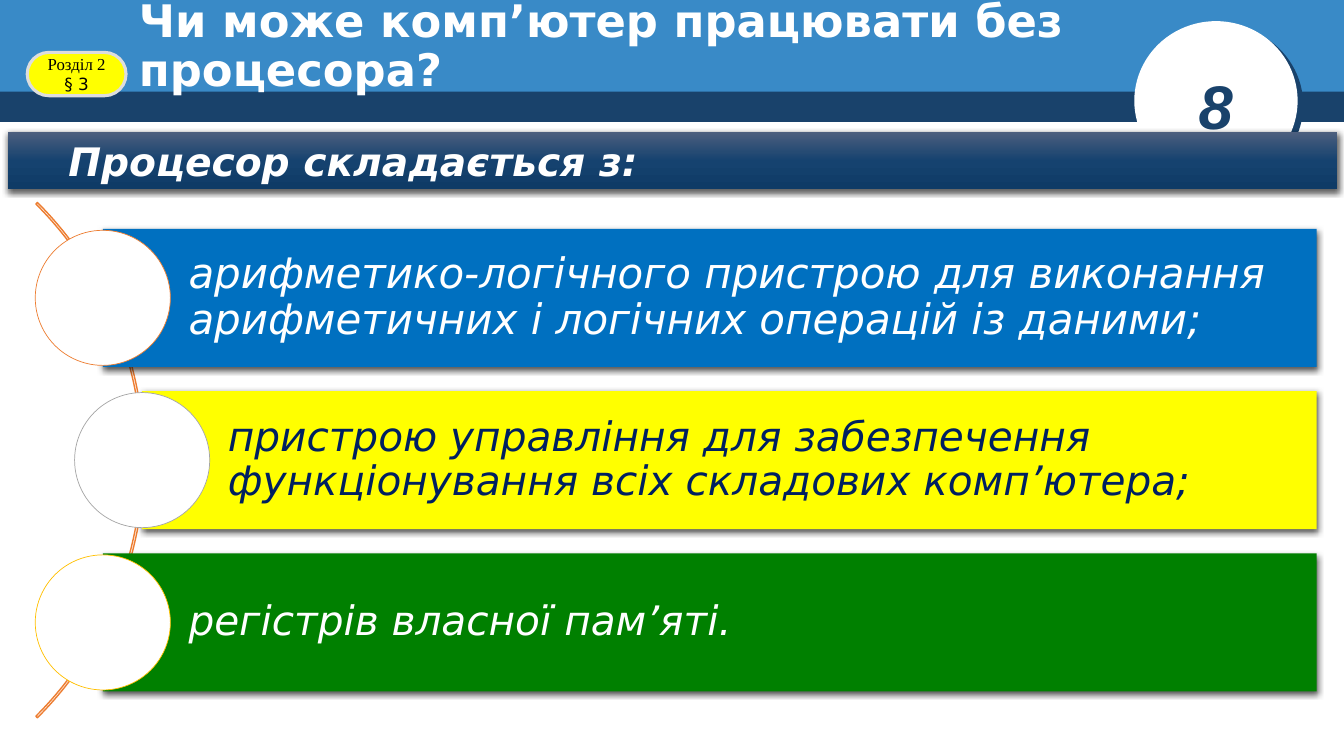
from lxml.etree import SubElement
from pptx import Presentation
from pptx.dml.color import RGBColor
from pptx.enum.shapes import MSO_SHAPE
from pptx.enum.text import MSO_ANCHOR, PP_ALIGN
from pptx.oxml.ns import qn
from pptx.util import Inches, Pt

WHITE = RGBColor(0xFF, 0xFF, 0xFF)
BLACK = RGBColor(0x00, 0x00, 0x00)
NAVY = RGBColor(0x19, 0x42, 0x6B)
SKY = RGBColor(0x39, 0x8A, 0xC7)
YELLOW = RGBColor(0xFF, 0xFF, 0x00)
SILVER = RGBColor(0xDD, 0xDD, 0xDD)
ORANGE = RGBColor(0xED, 0x7D, 0x31)
GRAY = RGBColor(0xA5, 0xA5, 0xA5)
GOLD = RGBColor(0xFF, 0xC0, 0x00)
BLUE = RGBColor(0x00, 0x70, 0xC0)
GREEN = RGBColor(0x00, 0x80, 0x00)
INK = RGBColor(0x00, 0x20, 0x60)
BANNER_TOP = RGBColor(0x4D, 0x5F, 0x7E)
BANNER_MIDDLE = RGBColor(0x15, 0x42, 0x6F)
BANNER_BOTTOM = RGBColor(0x0F, 0x3B, 0x66)

COLUMNS, ROWS = 13.33, 7.5
CELL = Inches(1)
SANS = "DejaVu Sans"
SOFT_SHADOW = {"color": BLACK, "alpha": 63, "blur": 4.5, "distance": 1.5, "angle": 90}
DISC_SHADOW = {"color": NAVY, "alpha": 100, "blur": 0, "distance": 5, "angle": 37}

ITEM_TOP, ITEM_STEP, ITEM_HEIGHT, ITEM_RIGHT = 2.27, 1.61, 1.37, 13.06
DISC = 1.34
ITEMS = [
    (1.02, BLUE, ORANGE, WHITE, 30,
     "арифметико-логічного пристрою для виконання арифметичних і логічних операцій із даними;"),
    (1.41, YELLOW, GRAY, INK, 29,
     "пристрою управління для забезпечення функціонування всіх складових комп’ютера;"),
    (1.02, GREEN, GOLD, WHITE, 29, "регістрів власної пам’яті."),
]


def grid(*lengths):
    """Turn grid columns and rows into slide lengths."""
    return [round(length * CELL) for length in lengths]


def set_values(target, values):
    """Set each attribute named in a dict."""
    for name, value in values.items():
        setattr(target, name, value)


def add_shadow(shape, shadow):
    """Give a shape an outer shadow."""
    effects = shape._element.spPr.find(qn("a:effectLst"))
    outer = SubElement(effects, qn("a:outerShdw"), {
        "blurRad": str(Pt(shadow["blur"])),
        "dist": str(Pt(shadow["distance"])),
        "dir": str(shadow["angle"] * 60000),
        "algn": "ctr",
        "rotWithShape": "0",
    })
    color = SubElement(outer, qn("a:srgbClr"), val=str(shadow["color"]))
    SubElement(color, qn("a:alpha"), val=str(shadow["alpha"] * 1000))


def add_figure(slide, kind, place, fill=None, line=None, width=1, shadow=None):
    """Add a preset shape with its fill, outline and shadow."""
    shape = slide.shapes.add_shape(kind, *grid(*place))
    shape.shadow.inherit = False
    if fill is None:
        shape.fill.background()
    else:
        shape.fill.solid()
        shape.fill.fore_color.rgb = fill
    if line is None:
        shape.line.fill.background()
    else:
        shape.line.color.rgb = line
        shape.line.width = Pt(width)
    if shadow:
        add_shadow(shape, shadow)
    return shape


def write(shape, runs, color, frame=None, layout=None, **font):
    """Write one paragraph of (text, font name, size) runs."""
    text_frame = shape.text_frame
    set_values(text_frame, {"word_wrap": True, **(frame or {})})
    paragraph = text_frame.paragraphs[0]
    set_values(paragraph, {"alignment": PP_ALIGN.LEFT, **(layout or {})})
    for text, name, size in runs:
        run = paragraph.add_run()
        run.text = text
        set_values(run.font, {"name": name, "size": Pt(size), **font})
        run.font.color.rgb = color
    return paragraph


def add_text(slide, place, *content, **options):
    """Add a text box and write in it."""
    return write(slide.shapes.add_textbox(*grid(*place)), *content, **options)


def add_header(slide):
    """Draw the title bands, page number and section badge."""
    add_figure(slide, MSO_SHAPE.RECTANGLE, (0, 0.87, COLUMNS, 0.34), NAVY)
    add_figure(slide, MSO_SHAPE.RECTANGLE, (0, 0, COLUMNS, 0.91), SKY)
    add_figure(slide, MSO_SHAPE.OVAL, (11.25, 0.21, 1.62, 1.58), WHITE, shadow=DISC_SHADOW)
    add_text(slide, (11.79, 0.62, 0.83, 0.84), [("8", "Arial", 44)], NAVY,
             bold=True, italic=True)
    add_text(slide, (1.28, 0.18, 9.9, 0.58),
             [("Чи може комп’ютер працювати без процесора?", SANS, 32)], WHITE,
             frame={"vertical_anchor": MSO_ANCHOR.MIDDLE},
             layout={"line_spacing": 0.9}, bold=True)
    badge = add_figure(slide, MSO_SHAPE.ROUNDED_RECTANGLE, (0.27, 0.52, 0.98, 0.43),
                       YELLOW, SILVER, 2.25)
    badge.adjustments[0] = 0.5
    write(badge, [("Розділ 2 ", "Times New Roman", 12), ("§ 3", SANS, 12)], BLACK,
          frame={"vertical_anchor": MSO_ANCHOR.MIDDLE},
          layout={"alignment": PP_ALIGN.CENTER})


def add_banner(slide):
    """Draw the gradient banner that introduces the list."""
    banner = add_figure(slide, MSO_SHAPE.RECTANGLE, (0.08, 1.31, 13.18, 0.57),
                        shadow=SOFT_SHADOW)
    banner.fill.gradient()
    banner.fill.gradient_angle = 270
    stops = banner.fill._fill._gradFill.find(qn("a:gsLst"))
    for stop in list(stops):
        stops.remove(stop)
    for position, color in ((0, BANNER_TOP), (50, BANNER_MIDDLE), (100, BANNER_BOTTOM)):
        stop = SubElement(stops, qn("a:gs"), pos=str(position * 1000))
        SubElement(stop, qn("a:srgbClr"), val=str(color))
    paragraph = write(banner, [("Процесор складається з:", SANS, 28)], WHITE,
                      frame={"vertical_anchor": MSO_ANCHOR.TOP},
                      layout={"alignment": PP_ALIGN.JUSTIFY}, bold=True, italic=True)
    paragraph._p.get_or_add_pPr().set("indent", str(Inches(0.5)))


def add_items(slide):
    """Draw the arc and the bars with their discs."""
    arc = add_figure(slide, MSO_SHAPE.BLOCK_ARC, (-5.8, 0.95, 7.23, 7.23), line=ORANGE)
    for index, value in enumerate((189, 27, 0.003)):
        arc.adjustments[index] = value
    margin = Inches(0.08)
    frame = {"vertical_anchor": MSO_ANCHOR.MIDDLE, "margin_left": Inches(0.85),
             "margin_right": margin, "margin_top": margin, "margin_bottom": margin}
    for index, (left, fill, outline, color, size, text) in enumerate(ITEMS):
        top = ITEM_TOP + index * ITEM_STEP
        bar = add_figure(slide, MSO_SHAPE.RECTANGLE,
                         (left, top, ITEM_RIGHT - left, ITEM_HEIGHT), fill,
                         shadow=SOFT_SHADOW)
        write(bar, [(text, SANS, size)], color, frame=frame,
              layout={"line_spacing": 0.9}, italic=True)
        add_figure(slide, MSO_SHAPE.OVAL,
                   (left - DISC / 2, top + (ITEM_HEIGHT - DISC) / 2, DISC, DISC),
                   WHITE, outline, 0.5)


def main():
    """Build and save the slide."""
    presentation = Presentation()
    width, height = grid(COLUMNS, ROWS)
    set_values(presentation, {"slide_width": width, "slide_height": height})
    slide = presentation.slides.add_slide(presentation.slide_layouts[6])
    add_header(slide)
    add_banner(slide)
    add_items(slide)
    presentation.save("out.pptx")


if __name__ == "__main__":
    main()
